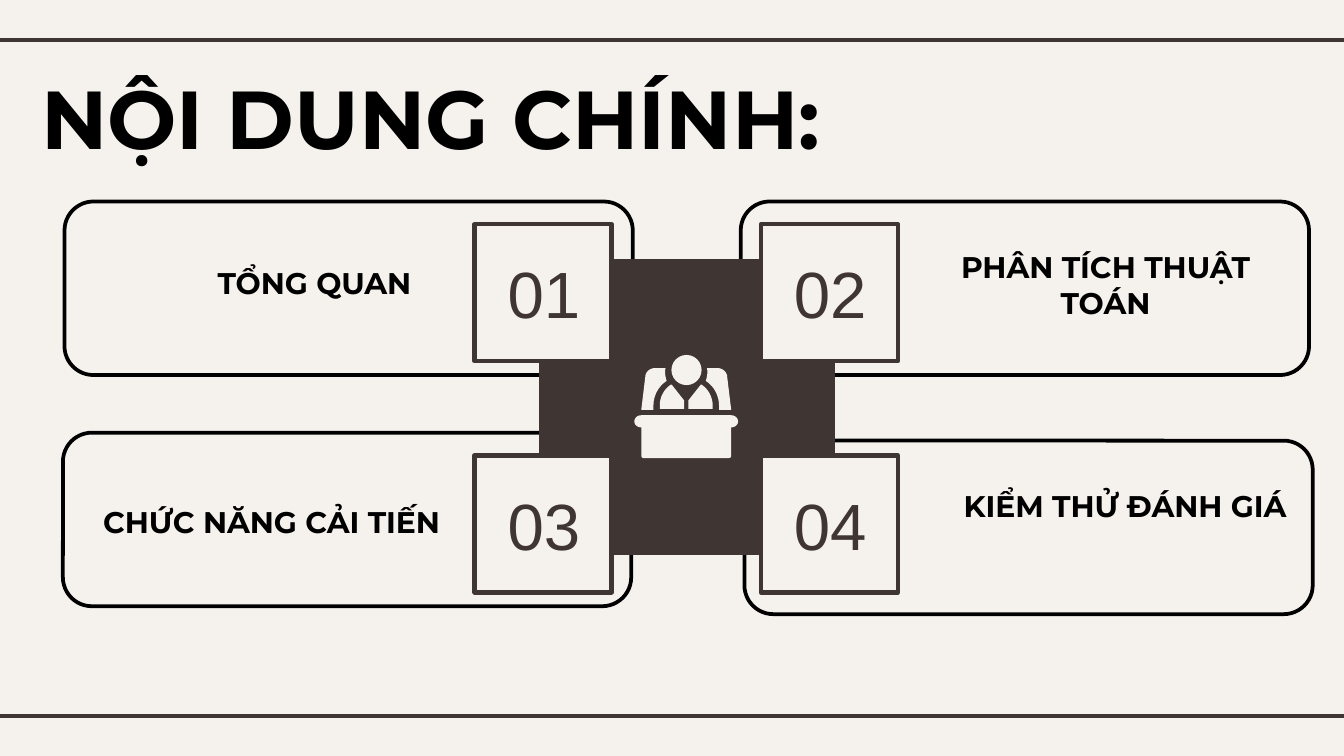
"""Build the contents slide with four numbered cards around a speaker icon."""
from lxml.etree import SubElement
from pptx import Presentation
from pptx.dml.color import RGBColor
from pptx.enum.shapes import MSO_CONNECTOR, MSO_SHAPE
from pptx.enum.text import MSO_ANCHOR, PP_ALIGN
from pptx.oxml.ns import qn
from pptx.util import Cm, Pt

WIDE, HIGH = 25.4, 14.29
DARK, PALE, BLACK = "3F3533", "F5F2EE", "000000"
TITLE = "NỘI DUNG CHÍNH: "
RULES = [0.76, 13.54]
CARDS = [
    ("TỔNG QUAN", (1.22, 3.81), (2.49, 4.75, 6.91)),
    ("PHÂN TÍCH THUẬT TOÁN", (14, 3.81), (17.07, 4.45, 7.65)),
    ("CHỨC NĂNG CẢI TIẾN", (1.19, 8.18), (1.68, 9.27, 6.91)),
    ("KIỂM THỬ ĐÁNH GIÁ", (14.07, 8.33), (17.81, 8.97, 6.91)),
]
COLS, ROWS, TILE = (8.97, 14.38), (4.24, 8.61), 2.59
AXIS = 12.97
DESK = [
    (-0.85, 7.85), (-0.92, 7.85, -0.98, 7.9, -0.98, 7.97),
    (-0.98, 8.03, -0.92, 8.08, -0.85, 8.08), (-0.85, 8.61),
    (-0.85, 8.64, -0.83, 8.66, -0.8, 8.66), (0.8, 8.66),
    (0.83, 8.66, 0.85, 8.64, 0.85, 8.61), (0.85, 8.08),
    (0.92, 8.08, 0.98, 8.03, 0.98, 7.97),
    (0.98, 7.9, 0.92, 7.85, 0.85, 7.85),
]
CHAIR = [
    (0.39, 6.96), (0.39, 6.96, 0.4, 6.99, 0.4, 7.02),
    (0.4, 7.08, 0.39, 7.14, 0.37, 7.2),
    (0.52, 7.3, 0.62, 7.47, 0.62, 7.67), (0.62, 7.75), (0.85, 7.75),
    (0.77, 7.09), (0.75, 7.02, 0.68, 6.96, 0.6, 6.96),
]
ARM = [
    (0.29, 7.27), (0.27, 7.27, 0.27, 7.28, 0.26, 7.29), (0.04, 7.57),
    (0.04, 7.73), (0.5, 7.73), (0.5, 7.67),
    (0.5, 7.5, 0.42, 7.36, 0.29, 7.27),
]
ICON = [(DESK, 1), (CHAIR, 1), (CHAIR, -1), (ARM, 1), (ARM, -1)]

deck = Presentation()
deck.slide_width, deck.slide_height = Cm(WIDE), Cm(HIGH)
slide = deck.slides.add_slide(deck.slide_layouts[6])
shapes = slide.shapes


def color(code):
    return RGBColor.from_string(code)


def paint(shape, fill, line=None, width=2.25):
    shape.shadow.inherit = False
    shape.fill.solid()
    shape.fill.fore_color.rgb = color(fill)
    if line:
        shape.line.color.rgb = color(line)
        shape.line.width = Pt(width)
    else:
        shape.line.fill.background()


def block(kind, x, y, wide, high, *style):
    shape = shapes.add_shape(kind, Cm(x), Cm(y), Cm(wide), Cm(high))
    paint(shape, *style)


def write(text, x, y, wide, high, size=16, face="Montserrat", ink=BLACK,
          bold=True, anchor=MSO_ANCHOR.TOP):
    frame = shapes.add_textbox(Cm(x), Cm(y), Cm(wide), Cm(high)).text_frame
    frame.word_wrap = True
    frame.vertical_anchor = anchor
    frame.margin_left = frame.margin_right = Cm(0.25)
    frame.margin_top = frame.margin_bottom = Cm(0.25)
    para = frame.paragraphs[0]
    para.alignment = PP_ALIGN.CENTER
    run = para.add_run()
    run.text = text
    run.font.size, run.font.name, run.font.bold = Pt(size), face, bold
    run.font.color.rgb = color(ink)


def rule(y):
    line = shapes.add_connector(
        MSO_CONNECTOR.STRAIGHT, Cm(-0.2), Cm(y), Cm(WIDE + 0.2), Cm(y))
    line.line.color.rgb = color(DARK)
    line.line.width = Pt(2.25)
    SubElement(line._element.spPr, qn("a:effectLst"))


def trace(path, steps=8):
    dots = [path[0]]
    for part in path[1:]:
        if len(part) == 2:
            dots.append(part)
            continue
        ends = [dots[-1], part[:2], part[2:4], part[4:]]
        for step in range(1, steps + 1):
            t = step / steps
            mix = ((1 - t) ** 3, 3 * t * (1 - t) ** 2,
                   3 * t * t * (1 - t), t ** 3)
            dots.append(tuple(
                sum(m * end[i] for m, end in zip(mix, ends)) for i in (0, 1)))
    return dots


def draw(path, side):
    dots = [(Cm(AXIS + side * x), Cm(y)) for x, y in trace(path)]
    form = shapes.build_freeform(*dots[0])
    form.add_line_segments(dots[1:], close=True)
    paint(form.convert_to_shape(), PALE)


slide.background.fill.solid()
slide.background.fill.fore_color.rgb = color(PALE)
for y in RULES:
    rule(y)
for label, spot, area in CARDS:
    block(MSO_SHAPE.ROUNDED_RECTANGLE, *spot, 10.74, 3.28, PALE, BLACK, 2)
write(TITLE, -0.79, 1.02, 18.31, 1.73, size=44)
for label, spot, area in CARDS:
    write(label, *area, 1.73)

block(MSO_SHAPE.RECTANGLE, 10.19, 4.9, 5.59, 5.59, DARK)
block(MSO_SHAPE.OVAL, AXIS - 0.28, 6.71, 0.57, 0.57, PALE)
for path, side in ICON:
    draw(path, side)

spots = [(x, y) for y in ROWS for x in COLS]
for num, (x, y) in enumerate(spots, 1):
    block(MSO_SHAPE.RECTANGLE, x, y, TILE, TILE, PALE, DARK)
    write(f"{num:02}", x - 0.1, y + 0.37, 2.82, 1.85, size=35, face="Arial",
          ink=DARK, bold=False, anchor=MSO_ANCHOR.MIDDLE)

deck.save("out.pptx")
